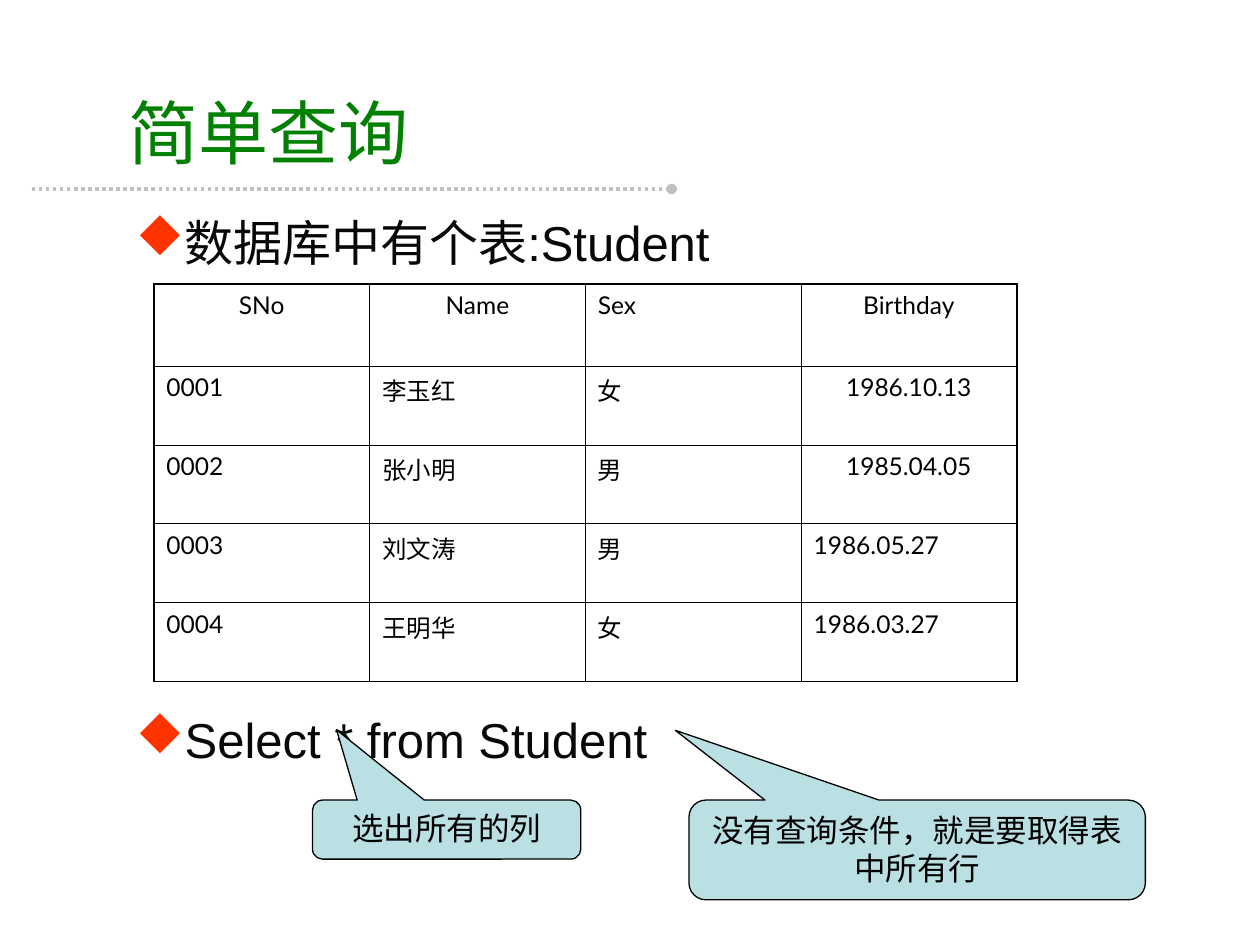
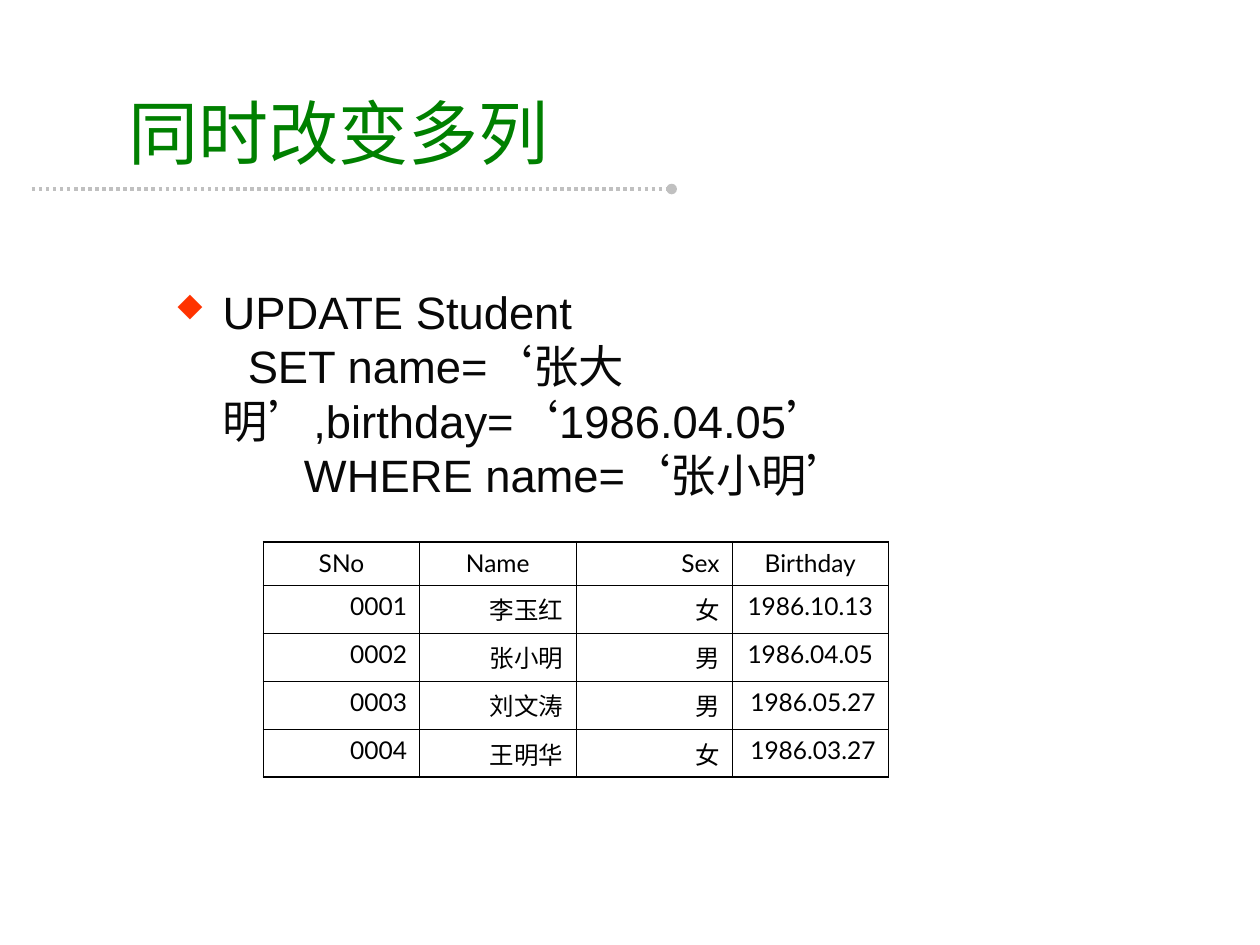
from lxml.etree import SubElement
from pptx import Presentation
from pptx.dml.color import RGBColor
from pptx.enum.dml import MSO_LINE
from pptx.enum.shapes import MSO_CONNECTOR, MSO_SHAPE
from pptx.enum.text import MSO_ANCHOR, PP_ALIGN
from pptx.oxml.ns import qn
from pptx.util import Cm, Pt

GREEN = RGBColor(0x00, 0x80, 0x00)
GREY = RGBColor(0xC0, 0xC0, 0xC0)
INK = RGBColor(0x08, 0x08, 0x08)
BLACK = RGBColor(0x00, 0x00, 0x00)
BULLET_RED = RGBColor(0xFF, 0x33, 0x00)
CALLOUT_BLUE = RGBColor(0xBB, 0xE0, 0xE3)

TITLE_FONT = {"name": "Arial", "size": Pt(40), "color": GREEN}
BODY_FONT = {"name": "Arial", "size": Pt(28), "color": INK}
CODE_FONT = {"name": "Arial", "size": Pt(25.9), "color": INK}
CALLOUT_FONT = {"name": "Arial", "size": Pt(18), "color": BLACK}
CELL_FONT = {"name": "Lato", "size": Pt(14), "color": BLACK}

ALIGNMENTS = {"L": PP_ALIGN.LEFT, "C": PP_ALIGN.CENTER, "R": PP_ALIGN.RIGHT}
OUTER_BORDER, INNER_BORDER = Pt(1.08), Pt(0.45)
HANGING = Cm(0.96)

HEADER = ("SNo", "Name", "Sex", "Birthday")


def student_rows(second_birthday):
    """The Student table, with the birthday of 张小明 before or after the update."""
    return [
        HEADER,
        ("0001", "李玉红", "女", "1986.10.13"),
        ("0002", "张小明", "男", second_birthday),
        ("0003", "刘文涛", "男", "1986.05.27"),
        ("0004", "王明华", "女", "1986.03.27"),
    ]


# Boxes are (left, top, width, height) in cm.
SLIDES = [
    {
        "title": "简单查询",
        "body": {
            "box": (2.49, 3.92, 19.81, 13.1),
            "font": BODY_FONT,
            "line_spacing": 1.2,
            "bullet_percent": 100,
            # text and the space before it in points; the table sits in the gap
            "items": [("数据库中有个表:Student", 0), ("Select * from Student", 244)],
        },
        "callouts": [
            ("选出所有的列", (6.3, 16.13, 5.41, 1.19), (-0.41, -1.69, 0.17)),
            ("没有查询条件，就是要取得表中所有行", (13.89, 16.13, 9.2, 2.01),
             (-0.53, -1.2, 0.17)),
        ],
        "table": {
            "rows": student_rows("1985.04.05"),
            "alignments": ["CCLC", "LLLC", "LLLC", "LLLL", "LLLL"],
            "corner": (3.1, 5.72),
            "column_width": 4.35,
            "row_heights": [1.66] + [1.59] * 4,
        },
    },
    {
        "title": "同时改变多列",
        "body": {
            "box": (3.28, 5.6, 21.62, 4.72),
            "font": CODE_FONT,
            "line_spacing": 1.0,
            "bullet_percent": 67,
            "items": [("UPDATE Student\v"
                       "  SET name=‘张大明’,birthday=‘1986.04.05’\v"
                       "        WHERE name=‘张小明’", 0)],
        },
        "callouts": [],
        "table": {
            "rows": student_rows("1986.04.05"),
            "alignments": ["CCRC", "RRRC", "RRRC", "RRRR", "RRRR"],
            "corner": (5.31, 10.92),
            "column_width": 3.15,
            "row_heights": [0.87] + [0.97] * 4,
        },
    },
]


def cms(lengths):
    return [Cm(length) for length in lengths]


def apply_font(paragraph, font_format):
    for attribute, value in font_format.items():
        if attribute == "color":
            paragraph.font.color.rgb = value
        else:
            setattr(paragraph.font, attribute, value)


def add_bullet(paragraph, percent):
    """Red diamond, which is the letter u in the symbol font."""
    properties = paragraph._p.get_or_add_pPr()
    properties.set("marL", str(HANGING))
    properties.set("indent", str(-HANGING))
    bullet_color = SubElement(properties, qn("a:buClr"))
    SubElement(bullet_color, qn("a:srgbClr"), val=str(BULLET_RED))
    SubElement(properties, qn("a:buSzPct"), val=str(percent * 1000))
    SubElement(properties, qn("a:buFont"), typeface="Wingdings", charset="2")
    SubElement(properties, qn("a:buChar"), char="u")


def add_title(slide, title):
    """Title text with the dotted rule below it."""
    rule = slide.shapes.add_connector(MSO_CONNECTOR.STRAIGHT, *cms((0.64, 3.81, 13.54, 3.81)))
    rule.line.color.rgb = GREY
    rule.line.width = Pt(2)
    rule.line.dash_style = MSO_LINE.ROUND_DOT
    SubElement(rule.line._get_or_add_ln(), qn("a:tailEnd"), type="oval")
    SubElement(rule._element.spPr, qn("a:effectLst"))

    frame = slide.shapes.add_textbox(*cms((2.34, 1.7, 12.7, 1.91))).text_frame
    frame.word_wrap = True
    frame.vertical_anchor = MSO_ANCHOR.MIDDLE
    frame.text = title
    apply_font(frame.paragraphs[0], TITLE_FONT)


def add_body(slide, body):
    frame = slide.shapes.add_textbox(*cms(body["box"])).text_frame
    frame.word_wrap = True
    for index, (text, space_before) in enumerate(body["items"]):
        paragraph = frame.add_paragraph() if index else frame.paragraphs[0]
        paragraph.text = text
        add_bullet(paragraph, body["bullet_percent"])
        paragraph.line_spacing = body["line_spacing"]
        if space_before:
            paragraph.space_before = Pt(space_before)
        apply_font(paragraph, body["font"])


def add_callout(slide, text, box, adjustments):
    callout = slide.shapes.add_shape(MSO_SHAPE.ROUNDED_RECTANGULAR_CALLOUT, *cms(box))
    for index, adjustment in enumerate(adjustments):
        callout.adjustments[index] = adjustment
    callout.shadow.inherit = False
    callout.fill.solid()
    callout.fill.fore_color.rgb = CALLOUT_BLUE
    callout.line.color.rgb = BLACK
    callout.line.width = Pt(0.75)
    frame = callout.text_frame
    frame.word_wrap = True
    frame.vertical_anchor = MSO_ANCHOR.TOP
    frame.text = text
    frame.paragraphs[0].alignment = PP_ALIGN.CENTER
    apply_font(frame.paragraphs[0], CALLOUT_FONT)


def add_borders(cell, outer_sides):
    """Thin lines on every side, thicker ones where outer_sides says so."""
    properties = cell._tc.get_or_add_tcPr()
    for side, is_outer in outer_sides.items():
        width = OUTER_BORDER if is_outer else INNER_BORDER
        border = SubElement(properties, qn(f"a:ln{side}"), w=str(width))
        fill = SubElement(border, qn("a:solidFill"))
        SubElement(fill, qn("a:srgbClr"), val=str(BLACK))


def add_student_table(slide, students):
    rows, heights = students["rows"], students["row_heights"]
    column_width = students["column_width"]
    last_row, last_column = len(rows) - 1, len(HEADER) - 1
    table = slide.shapes.add_table(
        len(rows), len(HEADER), *cms(students["corner"]),
        Cm(column_width * len(HEADER)), Cm(sum(heights))).table
    table.first_row = table.horz_banding = False
    for column in table.columns:
        column.width = Cm(column_width)
    for r, (values, alignments) in enumerate(zip(rows, students["alignments"])):
        table.rows[r].height = Cm(heights[r])
        for c, (value, alignment) in enumerate(zip(values, alignments)):
            cell = table.cell(r, c)
            cell.text = value
            add_borders(cell, {"L": c == 0, "R": c == last_column,
                               "T": r == 0, "B": r == last_row})
            cell.fill.background()
            paragraph = cell.text_frame.paragraphs[0]
            paragraph.alignment = ALIGNMENTS[alignment]
            apply_font(paragraph, CELL_FONT)


def main():
    presentation = Presentation()
    presentation.slide_width, presentation.slide_height = Cm(25.4), Cm(19.05)
    for content in SLIDES:
        slide = presentation.slides.add_slide(presentation.slide_layouts[6])
        add_title(slide, content["title"])
        add_body(slide, content["body"])
        for callout in content["callouts"]:
            add_callout(slide, *callout)
        add_student_table(slide, content["table"])
    presentation.save("out.pptx")


if __name__ == "__main__":
    main()
